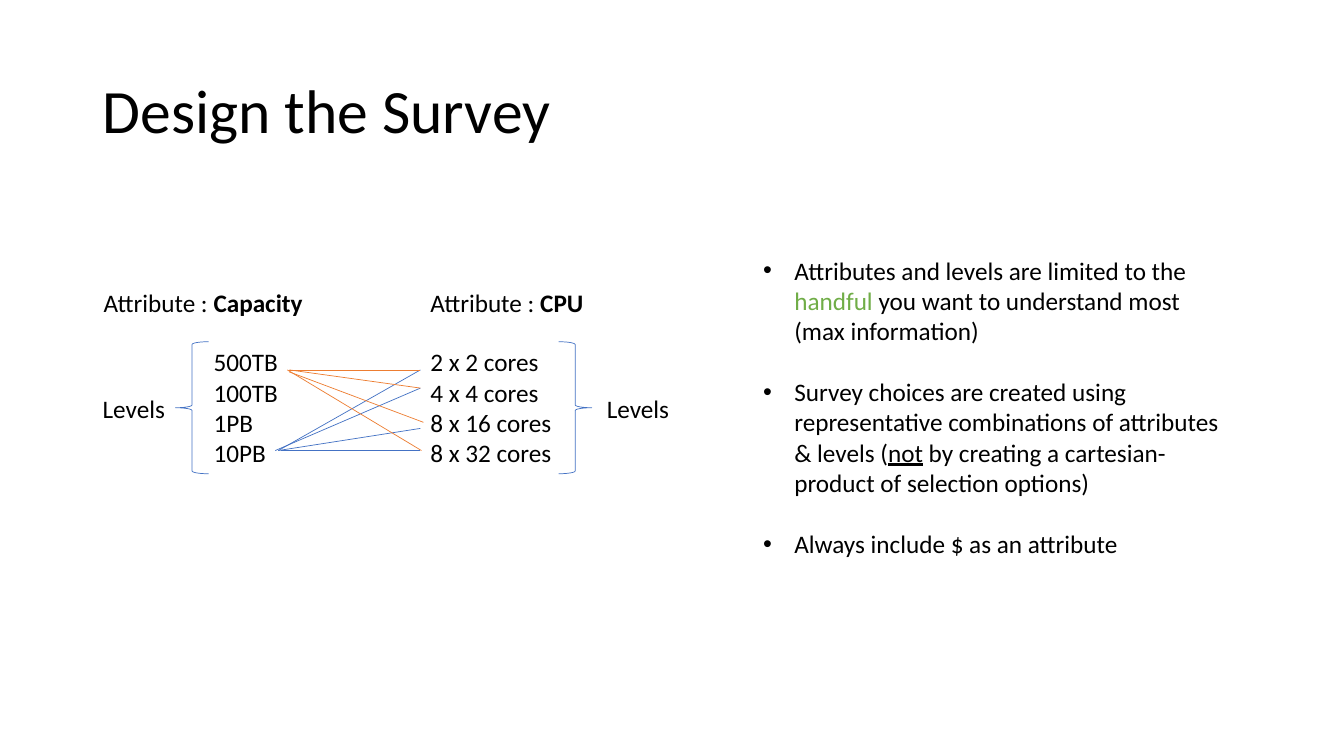
import dataclasses
import typing

import lxml.etree
import pptx
import pptx.dml.color
import pptx.enum.shapes
import pptx.enum.text
import pptx.oxml.ns
import pptx.util

Inches = pptx.util.Inches
Pt = pptx.util.Pt
RGB = pptx.dml.color.RGBColor
Shape = pptx.enum.shapes.MSO_SHAPE
Anchor = pptx.enum.text.MSO_ANCHOR
Fit = pptx.enum.text.MSO_AUTO_SIZE
qn = pptx.oxml.ns.qn


@dataclasses.dataclass(frozen=True)
class Theme:
    font: str = "Calibri"
    title: float = 44
    body: float = 18
    gap: float = 22
    line: float = 0.5
    indent: float = 0.31
    ink: str = "000000"
    blue: str = "4472C4"
    orange: str = "ED7D31"
    green: str = "70AD47"


THEME = Theme()


class Run(typing.NamedTuple):
    text: str
    color: str = THEME.ink
    style: dict = {}


@dataclasses.dataclass(frozen=True)
class Block:
    box: tuple
    paras: list
    size: float = THEME.body
    frame: dict = dataclasses.field(default_factory=dict)
    para: dict = dataclasses.field(default_factory=dict)
    bullet: bool = False


class Brace(typing.NamedTuple):
    kind: Shape
    left: float


class Link(typing.NamedTuple):
    start: tuple
    end: tuple
    color: str


def put(target: typing.Any, values: dict) -> None:
    for name, value in values.items():
        setattr(target, name, value)


def add_dot(para: typing.Any) -> None:
    props = para._p.get_or_add_pPr()
    indent = Inches(THEME.indent)
    props.set("marL", str(indent))
    props.set("indent", str(-indent))
    lxml.etree.SubElement(props, qn("a:buFont"), typeface="Arial")
    lxml.etree.SubElement(props, qn("a:buChar"), char="•")


def draw_block(slide: typing.Any, block: Block) -> None:
    frame = slide.shapes.add_textbox(*map(Inches, block.box)).text_frame
    put(frame, {"word_wrap": False, "auto_size": Fit.SHAPE_TO_FIT_TEXT} | block.frame)
    for i, runs in enumerate(block.paras):
        para = frame.paragraphs[0] if i == 0 else frame.add_paragraph()
        last = i == len(block.paras) - 1
        put(para, block.para)
        if block.bullet:
            para.space_after = Pt(0 if last else THEME.gap)
            add_dot(para)
        for item in runs:
            run = para.add_run()
            run.text = item.text
            put(run.font, {"name": THEME.font, "size": Pt(block.size)} | item.style)
            run.font.color.rgb = RGB.from_string(item.color)


def set_line(line: typing.Any, color: str) -> None:
    line.color.rgb = RGB.from_string(color)
    line.width = Pt(THEME.line)


def draw_brace(slide: typing.Any, brace: Brace) -> None:
    box = (brace.left, LIST_TOP, 0.33, LIST_HIGH)
    shape = slide.shapes.add_shape(brace.kind, *map(Inches, box))
    shape.shadow.inherit = False
    shape.fill.background()
    set_line(shape.line, THEME.blue)


def draw_link(slide: typing.Any, link: Link) -> None:
    kind = pptx.enum.shapes.MSO_CONNECTOR.STRAIGHT
    line = slide.shapes.add_connector(kind, *map(Inches, link.start + link.end))
    set_line(line.line, link.color)
    lxml.etree.SubElement(line._element.spPr, qn("a:effectLst"))


def head(left: float, wide: float, name: str) -> Block:
    runs = [Run("Attribute : "), Run(name, style={"bold": True})]
    return Block((left, 2.8, wide, 0.4), [runs])


def levels(left: float, wide: float, names: list) -> Block:
    return Block((left, LIST_TOP, wide, LIST_HIGH), [[Run(name)] for name in names])


def label(left: float) -> Block:
    return Block((left, 3.85, 0.83, 0.4), [[Run("Levels")]])


LIST_TOP, LIST_HIGH = 3.39, 1.31
CPU_LEFT = 4.17

BLOCKS = [
    # Title
    Block((0.92, 0.4, 11.5, 1.45), [[Run("Design the Survey")]], THEME.title,
          {"word_wrap": True, "auto_size": Fit.NONE, "vertical_anchor": Anchor.MIDDLE},
          {"line_spacing": 0.9}),
    # Attributes with their levels
    head(0.93, 2.18, "Capacity"),
    levels(2.02, 0.85, ["500TB", "100TB", "1PB", "10PB"]),
    label(0.92),
    head(CPU_LEFT, 1.74, "CPU"),
    levels(CPU_LEFT, 1.41, ["2 x 2 cores", "4 x 4 cores", "8 x 16 cores", "8 x 32 cores"]),
    label(5.92),
    # Advice
    Block((7.47, 2.48, 4.81, 3.13), [
        [Run("Attributes and levels are limited to the "),
         Run("handful", THEME.green),
         Run(" you want to understand most (max information)")],
        [Run("Survey choices are created using representative combinations "
             "of attributes & levels ("),
         Run("not", style={"underline": True}),
         Run(" by creating a cartesian-product of selection options)")],
        [Run("Always include $ as an attribute")],
    ], frame={"word_wrap": True}, bullet=True),
]

BRACES = [Brace(Shape.LEFT_BRACE, 1.74), Brace(Shape.RIGHT_BRACE, 5.54)]

# Lines from 10PB, then from 500TB, to each CPU level
LINKS = [
    Link((left, 4.47), (CPU_LEFT, end), THEME.blue)
    for left, end in [(2.76, 3.67), (2.73, 3.85), (2.76, 4.25), (2.79, 4.47)]
] + [
    Link(start, end, THEME.orange)
    for start, end in [
        ((2.87, 3.67), (CPU_LEFT, 3.67)),
        ((2.87, 3.67), (CPU_LEFT, 3.85)),
        ((2.87, 3.69), (4.2, 4.19)),
        ((2.85, 3.67), (4.18, 4.47)),
    ]
]


def main() -> None:
    deck = pptx.Presentation()
    put(deck, {"slide_width": Inches(13.33), "slide_height": Inches(7.5)})
    slide = deck.slides.add_slide(deck.slide_layouts[6])
    for block in BLOCKS:
        draw_block(slide, block)
    for brace in BRACES:
        draw_brace(slide, brace)
    for link in LINKS:
        draw_link(slide, link)
    deck.save("out.pptx")


if __name__ == "__main__":
    main()
